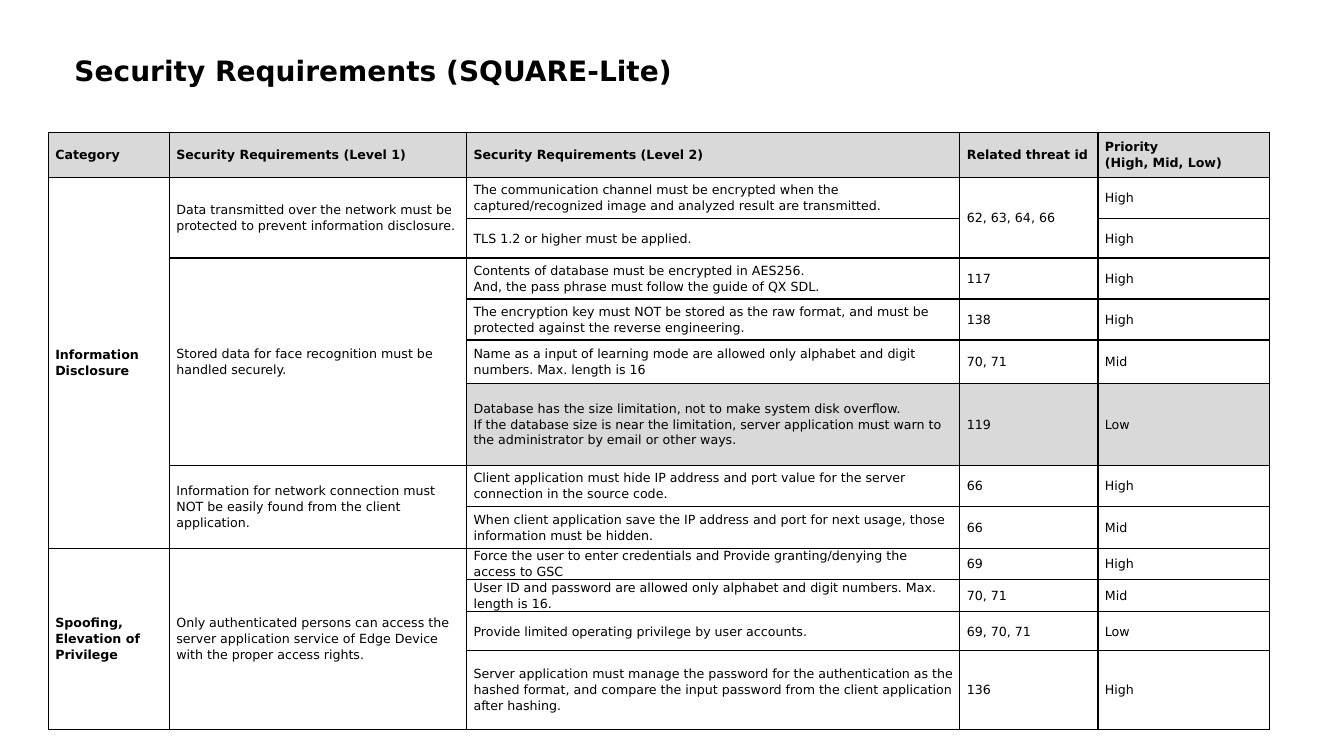
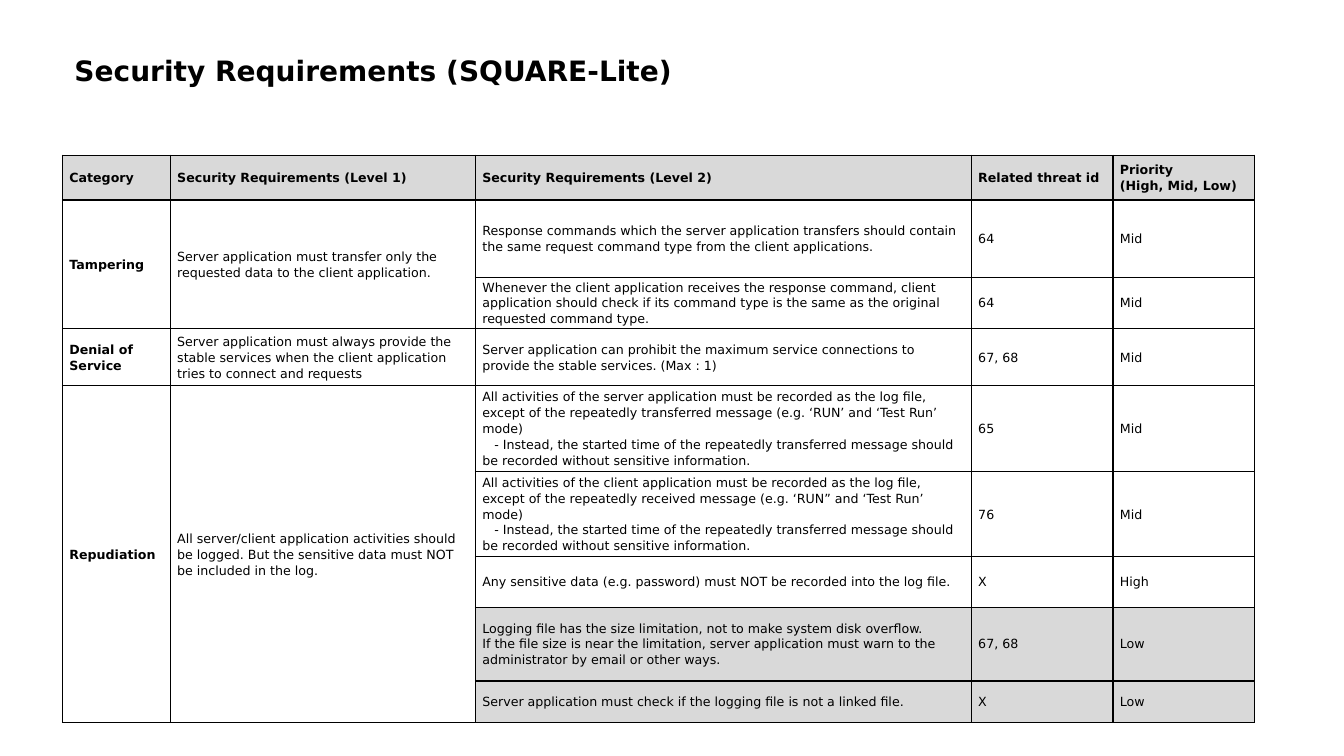
import pptx
import pptx.dml.color
import pptx.enum.text
import pptx.oxml
import pptx.oxml.ns
import pptx.util

Pt = pptx.util.Pt
ALIGN = pptx.enum.text.PP_ALIGN
MIDDLE = pptx.enum.text.MSO_ANCHOR.MIDDLE

# Shared look
COLORS = {"text": "000000", "border": "000000", "shade": "D9D9D9", "plain": "FFFFFF"}
FONT = "DejaVu Sans"
TITLE = "Security Requirements (SQUARE-Lite)"
TITLE_BOX = (46, 18.7, 828, 65.5)
HEADER = ("Category", "Security Requirements (Level 1)", "Security Requirements (Level 2)",
          "Related threat id", "Priority\n(High, Mid, Low)")
LIST_BREAK = "\n- "

# Table rows: None continues the cell above
DISCLOSURE_ROWS = [
    ("Information Disclosure",
     "Data transmitted over the network must be protected to prevent information disclosure.",
     "The communication channel must be encrypted when the captured/recognized image and "
     "analyzed result are transmitted.", "62, 63, 64, 66", "High"),
    (None, None, "TLS 1.2 or higher must be applied.", None, "High"),
    (None, "Stored data for face recognition must be handled securely.",
     "Contents of database must be encrypted in AES256.\n"
     "And, the pass phrase must follow the guide of QX SDL.", "117", "High"),
    (None, None, "The encryption key must NOT be stored as the raw format, and must be "
     "protected against the reverse engineering.", "138", "High"),
    (None, None, "Name as a input of learning mode are allowed only alphabet and digit "
     "numbers. Max. length is 16", "70, 71", "Mid"),
    (None, None, "Database has the size limitation, not to make system disk overflow.\n"
     "If the database size is near the limitation, server application must warn to the "
     "administrator by email or other ways.", "119", "Low"),
    (None, "Information for network connection must NOT be easily found from the client "
     "application.",
     "Client application must hide IP address and port value for the server connection in "
     "the source code.", "66", "High"),
    (None, None, "When client application save the IP address and port for next usage, those "
     "information must be hidden.", "66", "Mid"),
    ("Spoofing, Elevation of Privilege",
     "Only authenticated persons can access the server application service of Edge Device "
     "with the proper access rights.",
     "Force the user to enter credentials and Provide granting/denying the access to GSC",
     "69", "High"),
    (None, None, "User ID and password are allowed only alphabet and digit numbers. Max. "
     "length is 16.", "70, 71", "Mid"),
    (None, None, "Provide limited operating privilege by user accounts.", "69, 70, 71", "Low"),
    (None, None, "Server application must manage the password for the authentication as the "
     "hashed format, and compare the input password from the client application after "
     "hashing.", "136", "High"),
]
TAMPERING_ROWS = [
    ("Tampering",
     "Server application must transfer only the requested data to the client application.",
     "Response commands which the server application transfers should contain the same "
     "request command type from the client applications.", "64", "Mid"),
    (None, None, "Whenever the client application receives the response command, client "
     "application should check if its command type is the same as the original requested "
     "command type.", "64", "Mid"),
    ("Denial of Service",
     "Server application must always provide the stable services when the client application "
     "tries to connect and requests",
     "Server application can prohibit the maximum service connections to provide the stable "
     "services. (Max : 1)", "67, 68", "Mid"),
    ("Repudiation",
     "All server/client application activities should be logged. But the sensitive data must "
     "NOT be included in the log.",
     "All activities of the server application must be recorded as the log file, except of the "
     "repeatedly transferred message (e.g. ‘RUN’ and ‘Test Run’ mode)\n"
     "- Instead, the started time of the repeatedly transferred message should be recorded "
     "without sensitive information.", "65", "Mid"),
    (None, None, "All activities of the client application must be recorded as the log file, "
     "except of the repeatedly received message (e.g. ‘RUN” and ‘Test Run’ mode)\n"
     "- Instead, the started time of the repeatedly transferred message should be recorded "
     "without sensitive information.", "76", "Mid"),
    (None, None, "Any sensitive data (e.g. password) must NOT be recorded into the log file.",
     "X", "High"),
    (None, None, "Logging file has the size limitation, not to make system disk overflow.\n"
     "If the file size is near the limitation, server application must warn to the "
     "administrator by email or other ways.", "67, 68", "Low"),
    (None, None, "Server application must check if the logging file is not a linked file.",
     "X", "Low"),
]


def rgb(name):
    return pptx.dml.color.RGBColor.from_string(COLORS[name])


def format_paragraph(p, size, bold, align=ALIGN.LEFT):
    p.alignment = align
    p.font.name, p.font.size, p.font.bold = FONT, Pt(size), bold
    p.font.color.rgb = rgb("text")


def add_title(s, box):
    title = s.shapes.title
    title.left, title.top, title.width, title.height = map(Pt, box)
    tf = title.text_frame
    tf.vertical_anchor = MIDDLE
    p = tf.paragraphs[0]
    p.text = TITLE
    p.line_spacing = 0.9
    format_paragraph(p, 20, True)


def add_borders(cell):
    tc_pr = cell._tc.get_or_add_tcPr()
    for side in "LRTB":
        tc_pr.append(pptx.oxml.parse_xml(
            f'<a:ln{side} {pptx.oxml.ns.nsdecls("a")} w="12700"><a:solidFill>'
            f'<a:srgbClr val="{COLORS["border"]}"/></a:solidFill></a:ln{side}>'))


def fill_cell(cell, text, bold, align):
    cell.vertical_anchor = MIDDLE
    cell.margin_left = cell.margin_right = Pt(5)
    cell.margin_top = cell.margin_bottom = 0
    tf = cell.text_frame
    parts = text.split(LIST_BREAK)
    for i, part in enumerate(parts):
        p = tf.add_paragraph() if i else tf.paragraphs[0]
        p.text = "- " + part if i else part
        p.line_spacing = 1.07
        p.space_after = Pt(8 if i == len(parts) - 1 else 0)
        format_paragraph(p, 9, bold, align)
        if i:  # list line: only its first line is indented
            p._p.get_or_add_pPr().set("marL", "0")
            p._p.get_or_add_pPr().set("indent", str(Pt(8.6)))


def add_requirements_table(s, left, top, widths, heights, body, shaded, header_align):
    rows = [HEADER] + body
    frame = s.shapes.add_table(len(rows), len(HEADER), Pt(left), Pt(top),
                               Pt(sum(widths)), Pt(sum(heights)))
    table = frame.table
    table.first_row = table.horz_banding = False
    for column, width in zip(table.columns, widths):
        column.width = Pt(width)
    for row, height in zip(table.rows, heights):
        row.height = Pt(height)

    for r, row in enumerate(rows):
        for c, text in enumerate(row):
            cell = table.cell(r, c)
            add_borders(cell)
            cell.fill.solid()
            is_shaded = r == 0 or (r in shaded and c >= 2)
            cell.fill.fore_color.rgb = rgb("shade" if is_shaded else "plain")
            if text is None:
                continue
            align = header_align if r == 0 and c < 4 else ALIGN.LEFT
            fill_cell(cell, text, r == 0 or c == 0, align)
            # Merge with the continuation cells below
            last = r
            while last + 1 < len(rows) and rows[last + 1][c] is None:
                last += 1
            if last > r:
                cell.merge(table.cell(last, c))


def add_requirements_slide(prs, **table):
    s = prs.slides.add_slide(prs.slide_layouts[5])
    add_title(s, TITLE_BOX)
    add_requirements_table(s, **table)


def main():
    prs = pptx.Presentation()
    prs.slide_width, prs.slide_height = Pt(960), Pt(540)
    add_requirements_slide(
        prs, left=34.5, top=94.5, widths=(86.5, 212.3, 352.4, 98.6, 122.4),
        heights=(32.2, 29.3, 28.4, 29.3, 29.3, 30.8, 58.7, 29.6, 29.6, 22.4, 22.6, 28, 56),
        body=DISCLOSURE_ROWS, shaded={6}, header_align=ALIGN.LEFT)
    add_requirements_slide(
        prs, left=44.6, top=110.9, widths=(77, 218, 354.2, 101.2, 101),
        heights=(32, 55.3, 36.7, 40.8, 61.2, 61, 36, 52.6, 30),
        body=TAMPERING_ROWS, shaded={7, 8}, header_align=ALIGN.JUSTIFY)
    prs.save("out.pptx")


if __name__ == "__main__":
    main()
